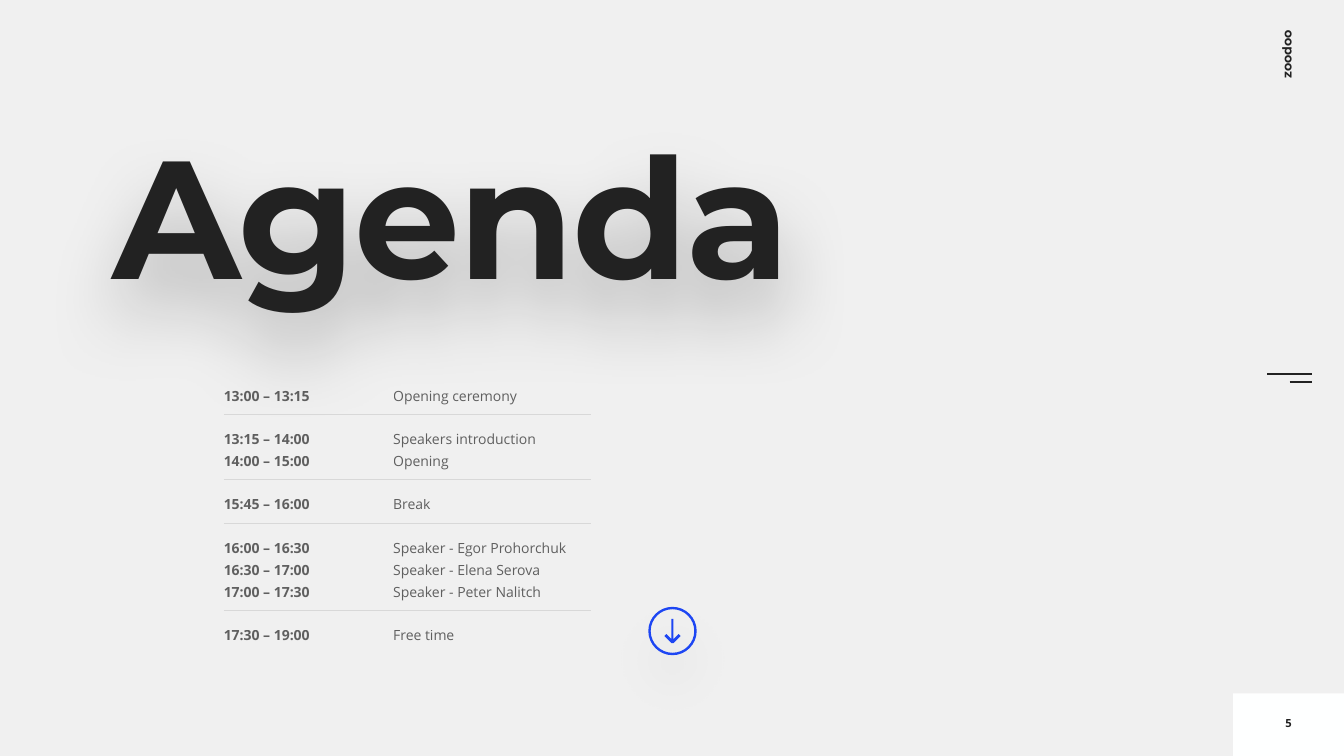
from dataclasses import dataclass

from lxml import etree
from pptx import Presentation, util as u
from pptx.dml.color import RGBColor
from pptx.enum import shapes, text
from pptx.oxml.ns import qn

INK, RULE, BLUE, PAPER, WHITE = "222222", "D8D8D8", "1D46F3", "F0F0F0", "FEFFFF"
LEFT, TOPIC_LEFT, RULE_RIGHT = 2.22, 3.9, 5.86
TOP, ROW, PAD, GAP, RULE_GAP = 3.75, 0.22, 0.06, 0.15, 0.08
KAPPA = 0.55


@dataclass
class Session:
    times: list[str]
    topics: list[str]


@dataclass
class Line:
    x1: float
    x2: float
    y: float
    color: str
    width: float


SESSIONS = [
    Session(["13:00 – 13:15"], ["Opening ceremony"]),
    Session(["13:15 – 14:00", "14:00 – 15:00"], ["Speakers introduction", "Opening"]),
    Session(["15:45 – 16:00"], ["Break"]),
    Session(
        ["16:00 – 16:30", "16:30 – 17:00", "17:00 – 17:30"],
        ["Speaker - Egor Prohorchuk", "Speaker - Elena Serova", "Speaker - Peter Nalitch"],
    ),
    Session(["17:30 – 19:00"], ["Free time"]),
]
MENU_LINES = [Line(12.57, 13.01, 3.71, INK, 1.5), Line(12.79, 13.01, 3.79, INK, 1.5)]


def fill(fmt, color: str) -> None:
    fmt.solid()
    fmt.fore_color.rgb = RGBColor.from_string(color)


def add_alpha(clr, alpha: int) -> None:
    etree.SubElement(clr, qn("a:alpha"), val=str(alpha * 1000))


def add_shadow(sp, blur: float, dist: float, alpha: int) -> None:
    sp.shadow.inherit = False
    effects = sp._element.spPr.find(qn("a:effectLst"))
    shadow = etree.SubElement(
        effects, qn("a:outerShdw"), blurRad=str(u.Pt(blur)), dist=str(u.Pt(dist)),
        dir="5400000", algn="t", rotWithShape="0")
    add_alpha(etree.SubElement(shadow, qn("a:srgbClr"), val="000000"), alpha)


def set_font(p, name: str, size: float, bold: bool, alpha: int = 100) -> None:
    p.font.name, p.font.size, p.font.bold = name, u.Pt(size), bold
    fill(p.font.fill, INK)
    if alpha < 100:
        add_alpha(next(p._p.pPr.iter(qn("a:srgbClr"))), alpha)


def add_text(s, x: float, y: float, w: float, h: float, words: str, wrap: bool = True):
    sp = s.shapes.add_textbox(u.Inches(x), u.Inches(y), u.Inches(w), u.Inches(h))
    sp.text_frame.word_wrap = wrap
    p = sp.text_frame.paragraphs[0]
    p.text = words
    return sp, p


def add_line(s, line: Line) -> None:
    y = u.Inches(line.y)
    c = s.shapes.add_connector(
        shapes.MSO_CONNECTOR.STRAIGHT, u.Inches(line.x1), y, u.Inches(line.x2), y)
    fill(c.line.fill, line.color)
    c.line.width = u.Pt(line.width)
    etree.SubElement(c._element.spPr, qn("a:effectLst"))


def add_column(s, x: float, y: float, w: float, lines: list[str], bold: bool) -> None:
    sp, p = add_text(s, x, y, w, PAD + ROW * len(lines), "\n".join(lines))
    tf = sp.text_frame
    tf.margin_left, tf.margin_right = 0, u.Inches(0.24)
    tf.margin_top = tf.margin_bottom = u.Inches(0.04)
    p.line_spacing = 1.3
    set_font(p, "Open Sans", 10, bold, 70)


def add_agenda(s) -> None:
    y = TOP
    for session in SESSIONS:
        add_column(s, LEFT, y, 1.1, session.times, True)
        add_column(s, TOPIC_LEFT, y, 2.77, session.topics, False)
        y += PAD + ROW * len(session.times)
        if session is not SESSIONS[-1]:
            add_line(s, Line(LEFT, RULE_RIGHT, y + RULE_GAP, RULE, 0.5))
        y += GAP


def add_title(s) -> None:
    sp = s.shapes.title
    sp.left, sp.top, sp.width, sp.height = map(u.Inches, (1.12, 1.29, 11.1, 1.8))
    tf = sp.text_frame
    tf.margin_left = tf.margin_right = tf.margin_bottom = 0
    tf.margin_top = u.Inches(0.2)
    tf.vertical_anchor = text.MSO_ANCHOR.TOP
    tf.auto_size = text.MSO_AUTO_SIZE.NONE
    p = tf.paragraphs[0]
    p.text = "Agenda"
    p.alignment, p.line_spacing = text.PP_ALIGN.LEFT, 0.8
    set_font(p, "Montserrat", 120, True)
    p._p.pPr.find(qn("a:defRPr")).set("spc", "-150")
    add_shadow(sp, 55, 28, 25)


def circle(radius: float) -> list[tuple[float, float]]:
    """Return a start point and the Bezier points of four quarter arcs."""
    x, y, points = radius, 0.0, [(radius, 0.0)]
    for _ in range(4):
        points += [(x - KAPPA * y, y + KAPPA * x), (KAPPA * x - y, KAPPA * y + x), (-y, x)]
        x, y = -y, x
    return points


def curve(segments: list) -> None:
    """Turn each three line segments into one Bezier segment."""
    for i in range(0, len(segments), 3):
        bezier = etree.Element(qn("a:cubicBezTo"))
        segments[i].addprevious(bezier)
        for segment in segments[i:i + 3]:
            bezier.append(segment[0])
            segment.getparent().remove(segment)


def add_down_button(s, cx: float, cy: float, radius: float) -> None:
    half = [(0.01, -0.12), (0.01, 0.08), (0.06, 0.03), (0.08, 0.05), (0.01, 0.12)]
    arrow = half + [(-x, y) for x, y in reversed(half)]
    rings = [circle(radius), circle(0.9 * radius)[::-1]]
    builder = None
    for contour in rings + [arrow]:
        points = [(u.Inches(cx + x), u.Inches(cy + y)) for x, y in contour]
        if builder is None:
            builder = s.shapes.build_freeform(*points[0])
        else:
            builder.move_to(*points[0])
        builder.add_line_segments(points[1:], close=contour is arrow)
    sp = builder.convert_to_shape()
    curve(list(sp._element.iter(qn("a:lnTo")))[:sum(len(ring) - 1 for ring in rings)])
    fill(sp.fill, BLUE)
    sp.line.fill.background()
    add_shadow(sp, 30, 20, 12)


def add_frame(s) -> None:
    sp = s.shapes.add_shape(
        shapes.MSO_SHAPE.RECTANGLE, *map(u.Inches, (12.23, 6.88, 1.1, 0.62)))
    sp.shadow.inherit = False
    fill(sp.fill, WHITE)
    sp.line.fill.background()
    sp, p = add_text(s, 12.42, 0.41, 0.68, 0.25, "zoodoo", wrap=False)
    sp.rotation = 270
    sp.text_frame.margin_right = 0
    set_font(p, "Montserrat", 9, True)
    for line in MENU_LINES:
        add_line(s, line)
    sp, p = add_text(s, 12.23, 6.97, 1.1, 0.4, "5")
    sp.text_frame.vertical_anchor = text.MSO_ANCHOR.MIDDLE
    p.alignment = text.PP_ALIGN.CENTER
    set_font(p, "Open Sans", 8, True)


def main() -> None:
    """Build the agenda slide and save it."""
    prs = Presentation()
    prs.slide_width, prs.slide_height = u.Inches(13.33), u.Inches(7.5)
    s = prs.slides.add_slide(prs.slide_layouts[5])
    fill(s.background.fill, PAPER)
    add_frame(s)
    add_title(s)
    add_down_button(s, 6.67, 6.26, 0.24)
    add_agenda(s)
    prs.save("out.pptx")


if __name__ == "__main__":
    main()
